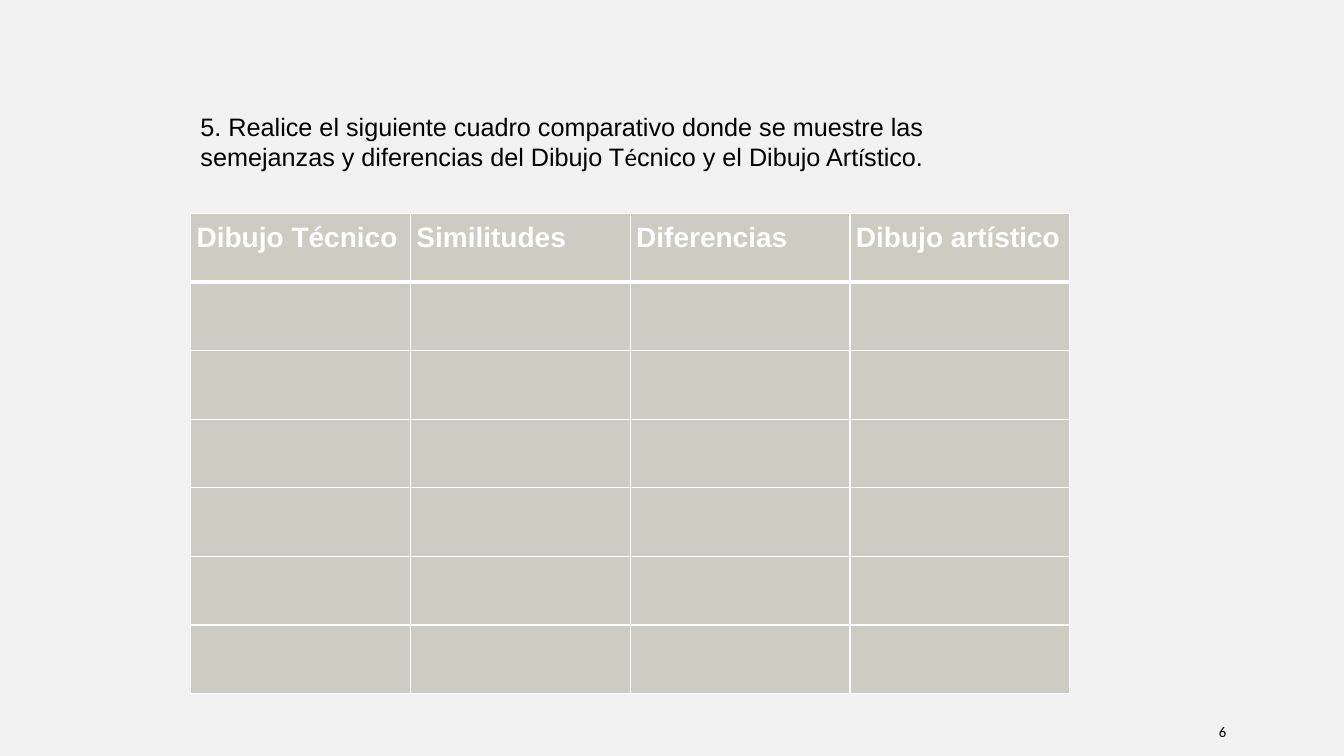
from pptx import Presentation
from pptx.dml.color import RGBColor
from pptx.enum.text import MSO_ANCHOR, PP_ALIGN
from pptx.oxml.ns import qn
from pptx.util import Inches, Pt
from lxml import etree

BOTTOM, MIDDLE = MSO_ANCHOR.BOTTOM, MSO_ANCHOR.MIDDLE
LEFT, RIGHT = PP_ALIGN.LEFT, PP_ALIGN.RIGHT

# Content
INSTRUCTION = [
    ("5. Realice el siguiente cuadro comparativo donde se muestre las "
     "semejanzas y diferencias del Dibujo T", "Arial"),
    ("é", "Calibri"),
    ("cnico y el Dibujo Art", "Arial"),
    ("í", "Calibri"),
    ("stico.", "Arial"),
]
HEADERS = ["Dibujo Técnico", "Similitudes", "Diferencias", "Dibujo artístico"]
EMPTY_ROWS = 6
PAGE_NUMBER = [("6", "Calibri")]

COLORS = {"background": "F2F2F2", "cell": "CCCCC2", "white": "FFFFFF", "text": "000000"}

# Grid, in inches
SLIDE_WIDTH, SLIDE_HEIGHT = 13.33, 7.5
MARGIN_LEFT, TABLE_TOP = 1.89, 2.12
COLUMN_WIDTH, ROW_HEIGHT = 2.18, 0.68
CELL_INSET = 0.06


def color(name):
    return RGBColor.from_string(COLORS[name])


def add_run(paragraph, text, font, size, color_name, bold=False):
    run = paragraph.add_run()
    run.text = text
    run.font.name = font
    run.font.size = Pt(size)
    run.font.bold = bold
    run.font.color.rgb = color(color_name)


def add_text(slide, box, runs, size, anchor, alignment):
    frame = slide.shapes.add_textbox(*map(Inches, box)).text_frame
    frame.word_wrap = True
    frame.vertical_anchor = anchor
    paragraph = frame.paragraphs[0]
    paragraph.alignment = alignment
    for text, font in runs:
        add_run(paragraph, text, font, size, "text")


def set_borders(cell, widths):
    properties = cell._tc.get_or_add_tcPr()
    for index, (side, width) in enumerate(widths.items()):
        line = etree.Element(qn(f"a:ln{side}"), w=str(Pt(width)))
        fill = etree.SubElement(line, qn("a:solidFill"))
        etree.SubElement(fill, qn("a:srgbClr"), val=COLORS["white"])
        properties.insert(index, line)


def add_comparison_table(slide):
    row_count, column_count = EMPTY_ROWS + 1, len(HEADERS)
    table = slide.shapes.add_table(
        row_count, column_count, Inches(MARGIN_LEFT), Inches(TABLE_TOP),
        Inches(COLUMN_WIDTH * column_count), Inches(ROW_HEIGHT * row_count)).table
    for column in table.columns:
        column.width = Inches(COLUMN_WIDTH)
    for row_index, row in enumerate(table.rows):
        row.height = Inches(ROW_HEIGHT)
        for cell in row.cells:
            cell.fill.solid()
            cell.fill.fore_color.rgb = color("cell")
            cell.margin_left = cell.margin_right = Inches(CELL_INSET)
            cell.margin_top = cell.margin_bottom = Inches(CELL_INSET)
            # The rule under the header row is heavier
            set_borders(cell, {"L": 1, "R": 1,
                               "T": 3 if row_index == 1 else 1,
                               "B": 3 if row_index == 0 else 1})
    for cell, header in zip(table.rows[0].cells, HEADERS):
        paragraph = cell.text_frame.paragraphs[0]
        paragraph.line_spacing = 1.07
        add_run(paragraph, header, "Arial", 20, "white", bold=True)


def main():
    presentation = Presentation()
    presentation.slide_width = Inches(SLIDE_WIDTH)
    presentation.slide_height = Inches(SLIDE_HEIGHT)
    slide = presentation.slides.add_slide(presentation.slide_layouts[6])
    slide.background.fill.solid()
    slide.background.fill.fore_color.rgb = color("background")

    # Page number, table and instruction
    add_text(slide, (10.83, 7.06, 1.43, 0.4), PAGE_NUMBER, 10.5, MIDDLE, RIGHT)
    add_comparison_table(slide)
    add_text(slide, (MARGIN_LEFT, 0.74, 8.36, 1.01), INSTRUCTION, 18, BOTTOM, LEFT)

    presentation.save("out.pptx")


if __name__ == "__main__":
    main()
